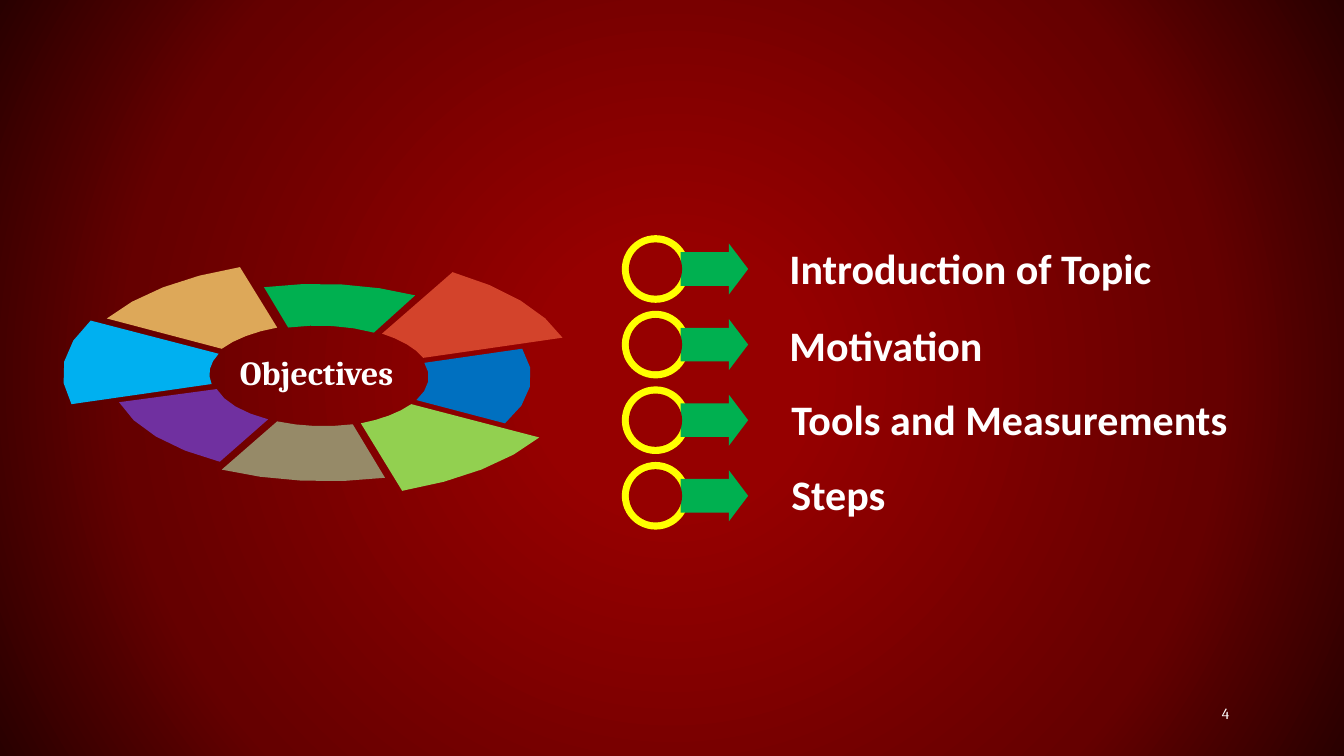
from math import atan2, cos, hypot, remainder, sin, tau

from pptx import Presentation
from pptx.dml.color import RGBColor
from pptx.enum.shapes import MSO_SHAPE
from pptx.enum.text import MSO_ANCHOR, PP_ALIGN
from pptx.oxml import parse_xml
from pptx.oxml.ns import nsdecls
from pptx.util import Pt

RED, GREEN, YELLOW, WHITE = "960000", "00B050", "FFFF00", "FFFFFF"
BACKDROP = [(17, RED), (71, "650000"), (100, "290000")]
TOPICS = [
    ("Introduction of Topic", (112.6, 1.4, 275.8, 43.9), {"wrap": False}),
    ("Motivation", (112.6, 2.8, 161.3, 43.9), {"wrap": False}),
    ("Tools and Measurements", (114, 5.7, 328.3, 40.3), {"spacing": 0.9}),
    ("Steps", (114, 5, 308.9, 40.3), {"spacing": 0.9}),
]
RING_RATIO = 2.18
ARC_STEPS = 4
WEDGES = [
    ("D3432B", (95.8, -74.1), (174.3, -27.3), (74.9, -12.9), (45.4, -30.2)),
    (GREEN, (-38.9, -63.3), (69.1, -57.5), (39.6, -30.9), (-21.6, -34.5)),
    ("DDA859", (-151.2, -41), (-56.1, -77.7), (-29.5, -34.5), (-69.1, -19.4)),
    ("0070C0", (145.5, -19.4), (133.2, 33.9), (69.9, 17.3), (75.6, -9.3)),
    ("00B0F0", (-176.4, 20.2), (-162.7, -39.5), (-71.3, -15.8), (-76.3, 5.8)),
    ("7030A0", (-70.5, 61.3), (-142.5, 18.8), (-72.7, 9.4), (-36, 31)),
    ("968A68", (47.5, 72.8), (-69.1, 67), (-29.5, 32.5), (24.5, 34.6)),
    ("92D050", (157.7, 44), (59.8, 82.1), (30.3, 33.9), (66.3, 20.2)),
]


def paint(shape, color):
    """Give a shape a flat fill with no outline or shadow."""
    shape.fill.solid()
    shape.fill.fore_color.rgb = RGBColor.from_string(color)
    shape.line.fill.background()
    shape.shadow.inherit = False


def add_part(slide, preset, left, top, width, height, color):
    """Add a flat preset shape."""
    part = slide.shapes.add_shape(preset, Pt(left), Pt(top), Pt(width), Pt(height))
    paint(part, color)
    return part


def write(holder, text, size, font, bold=False, align=PP_ALIGN.LEFT,
          anchor=MSO_ANCHOR.TOP, wrap=True, spacing=None):
    """Put formatted white text into a text holder."""
    frame = holder.text_frame
    frame.word_wrap = wrap
    frame.vertical_anchor = anchor
    paragraph = frame.paragraphs[0]
    paragraph.alignment = align
    paragraph.line_spacing = spacing
    run = paragraph.add_run()
    run.text = text
    run.font.size = Pt(size)
    run.font.name = font
    run.font.bold = bold
    run.font.color.rgb = RGBColor.from_string(WHITE)


def add_backdrop(slide):
    """Fill the background with a circular gradient."""
    slide.background.fill.gradient()
    gradient = slide.element.xpath(".//p:bgPr/a:gradFill")[0]
    stops = "".join(f'<a:gs pos="{at * 1000}"><a:srgbClr val="{color}"/></a:gs>'
                    for at, color in BACKDROP)
    gradient.getparent().replace(gradient, parse_xml(
        f'<a:gradFill {nsdecls("a")} rotWithShape="1"><a:gsLst>{stops}</a:gsLst>'
        '<a:path path="circle"><a:fillToRect l="50000" t="50000" r="50000" b="50000"/>'
        '</a:path></a:gradFill>'))


def sweep(start, end):
    """Return points on the elliptical arc between two corners around the hub."""
    (start_x, start_y), (end_x, end_y) = start, end
    angle = atan2(start_y, start_x / RING_RATIO)
    turn = remainder(atan2(end_y, end_x / RING_RATIO) - angle, tau)
    radius = hypot(start_x / RING_RATIO, start_y)
    growth = hypot(end_x / RING_RATIO, end_y) - radius
    shares = [step / ARC_STEPS for step in range(ARC_STEPS + 1)]
    return [(RING_RATIO * (radius + growth * share) * cos(angle + turn * share),
             (radius + growth * share) * sin(angle + turn * share)) for share in shares]


def add_wheel(slide, hub_x, hub_y):
    """Draw the ring of wedges around its titled hub."""
    for color, outer_start, outer_end, inner_start, inner_end in WEDGES:
        outline = [(Pt(hub_x + x), Pt(hub_y + y))
                   for x, y in sweep(outer_start, outer_end) + sweep(inner_start, inner_end)]
        builder = slide.shapes.build_freeform(*outline[0])
        builder.add_line_segments(outline[1:], close=True)
        paint(builder.convert_to_shape(), color)
    title = slide.shapes.title
    title.left, title.top = Pt(hub_x - 72.7), Pt(hub_y - 20.8)
    title.width, title.height = Pt(142.6), Pt(36)
    write(title, "Objectives", 24, "Cambria", bold=True, align=PP_ALIGN.CENTER)


def add_topic(slide, topic, label_box, label_format, left, top, size):
    """Draw one ringed arrow with its topic beside it."""
    middle = top + size / 2
    add_part(slide, MSO_SHAPE.OVAL, left, top, size, size, YELLOW)
    add_part(slide, MSO_SHAPE.RECTANGLE, left + 42, middle - 12, 34.5, 24, GREEN)
    head = add_part(slide, MSO_SHAPE.ISOSCELES_TRIANGLE, left + 65, middle - 6.9,
                    36.6, 13.8, GREEN)
    head.rotation = 90
    add_part(slide, MSO_SHAPE.OVAL, left + 5, middle - 19, 38, 38, RED)
    indent, drop, width, height = label_box
    label = slide.shapes.add_textbox(Pt(left + indent), Pt(top + drop), Pt(width), Pt(height))
    write(label, topic, 30, "Calibri", bold=True, **label_format)


def add_page_number(slide, left, top, width, height):
    """Place the page number in the lower right."""
    number = slide.shapes.add_textbox(Pt(left), Pt(top), Pt(width), Pt(height))
    write(number, "4", 11, "Cambria", align=PP_ALIGN.RIGHT, anchor=MSO_ANCHOR.MIDDLE)
    frame = number.text_frame
    frame.margin_left = frame.margin_right = Pt(9.4)
    frame.margin_top = frame.margin_bottom = Pt(5)


def main():
    """Build and save the objectives slide."""
    deck = Presentation()
    deck.slide_width, deck.slide_height = Pt(960), Pt(540)
    slide = deck.slides.add_slide(deck.slide_layouts[5])
    add_backdrop(slide)
    add_wheel(slide, 227.5, 268.5)
    for row, (topic, label_box, label_format) in enumerate(TOPICS):
        add_topic(slide, topic, label_box, label_format, 444.2, 168 + 54 * row, 48.3)
    add_page_number(slide, 822, 502, 65.6, 15)
    deck.save("out.pptx")


if __name__ == "__main__":
    main()
